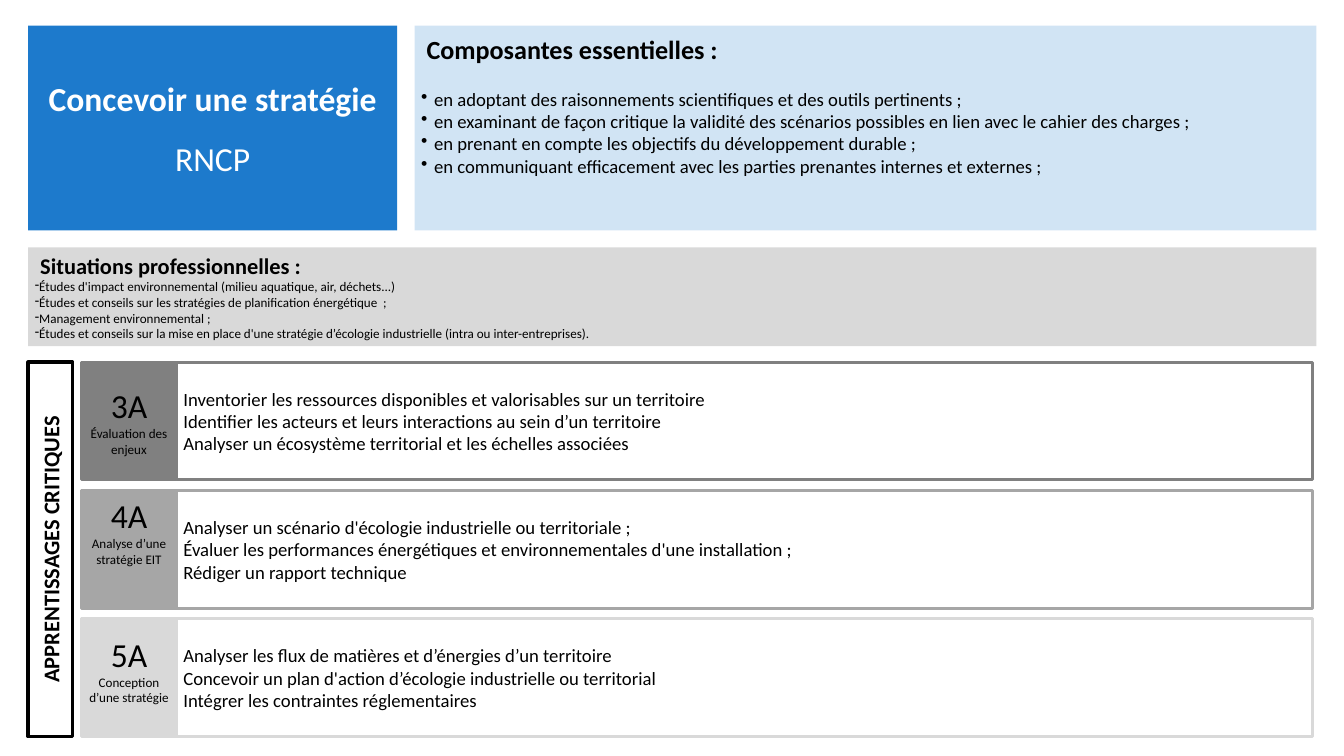
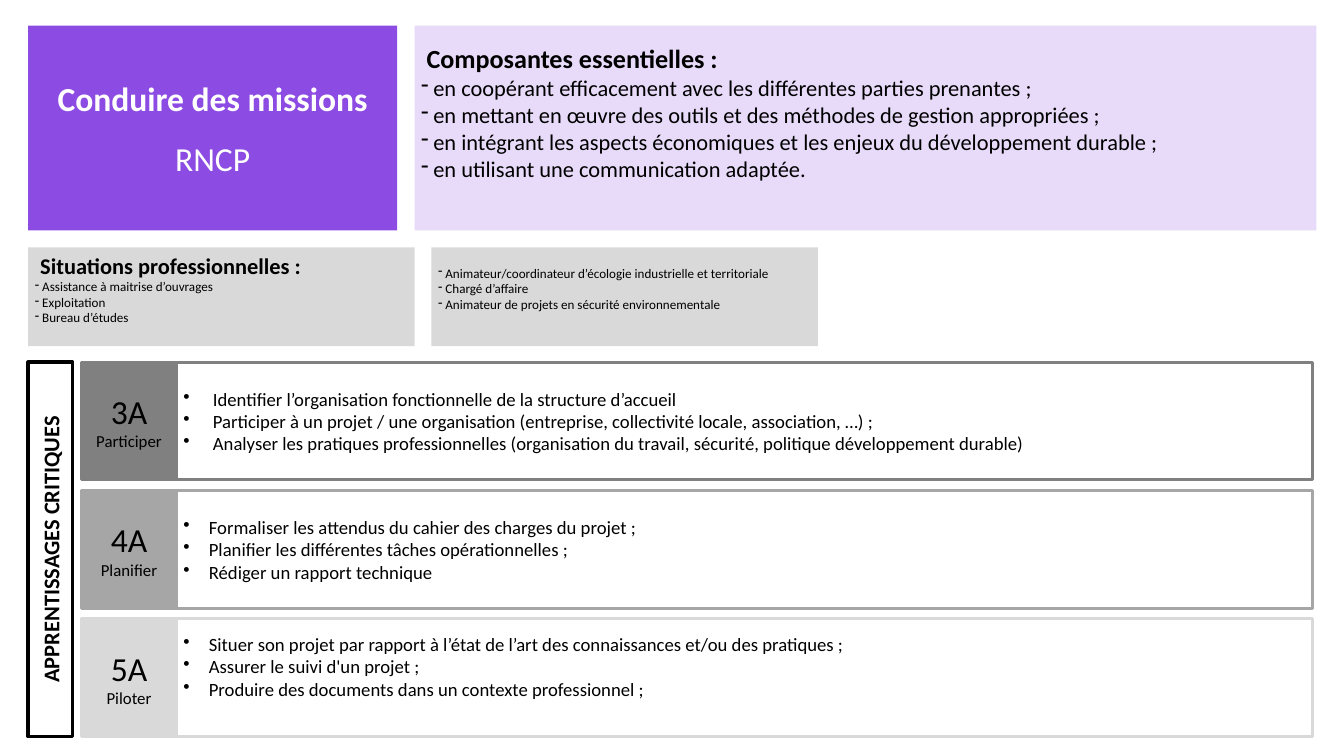
from lxml import etree
from pptx import Presentation
from pptx.dml.color import RGBColor
from pptx.enum.shapes import MSO_SHAPE
from pptx.enum.text import MSO_ANCHOR, PP_ALIGN
from pptx.oxml.ns import qn
from pptx.util import Inches, Pt

RECTANGLE = MSO_SHAPE.RECTANGLE
MIDDLE = MSO_ANCHOR.MIDDLE
LEFT, CENTER = PP_ALIGN.LEFT, PP_ALIGN.CENTER

FONT = "Calibri"
COLORS = {
    "black": "000000", "white": "FFFFFF", "blue": "1D7ACC", "violet": "8C4BE2",
    "panel": "D9D9D9", "3A": "808080", "4A": "A6A6A6", "5A": "D9D9D9",
}

# "lift" is extra room kept free below the text, which moves it up in its box.
SKILLS = [
    {
        "color": "blue",
        "title": "Concevoir une stratégie",
        "components": {
            "lift": 0.68,
            "style": {"size": 20, "bullet": "•", "indent": 0.19},
            "gap": 24.4,
            "lines": [
                "en adoptant des raisonnements scientifiques et des outils pertinents ;",
                "en examinant de façon critique la validité des scénarios possibles "
                "en lien avec le cahier des charges ;",
                "en prenant en compte les objectifs du développement durable ;",
                "en communiquant efficacement avec les parties prenantes internes et externes ;",
            ],
        },
        "situations": {
            "lift": 0,
            "style": {"size": 14, "bullet": "-", "indent": 0},
            "width": 19.17,
            "columns": [[
                "Études d'impact environnemental (milieu aquatique, air, déchets...)",
                "Études et conseils sur les stratégies de planification énergétique  ;",
                "Management environnemental ;",
                "Études et conseils sur la mise en place d'une stratégie d’écologie "
                "industrielle (intra ou inter-entreprises).",
            ]],
        },
        "level_size": 14,
        "learning_style": {"size": 20},
        "levels": [
            {"year": "3A", "name": "Évaluation des enjeux", "lines": [
                "Inventorier les ressources disponibles et valorisables sur un territoire",
                "Identifier les acteurs et leurs interactions au sein d’un territoire",
                "Analyser un écosystème territorial et les échelles associées",
            ]},
            {"year": "4A", "name": "Analyse d’une stratégie EIT", "name_lift": 0.55, "lines": [
                "Analyser un scénario d'écologie industrielle ou territoriale ;",
                "Évaluer les performances énergétiques et environnementales d'une installation ;",
                "Rédiger un rapport technique",
            ]},
            {"year": "5A", "name": "Conception d’une stratégie", "name_lift": 0.24, "lines": [
                "Analyser les flux de matières et d’énergies d’un territoire",
                "Concevoir un plan d'action d’écologie industrielle ou territorial",
                "Intégrer les contraintes réglementaires",
            ]},
        ],
    },
    {
        "color": "violet",
        "title": "Conduire des missions",
        "components": {
            "lift": 0.47,
            "style": {"size": 24, "bullet": "-", "indent": 0.18},
            "gap": 0,
            "lines": [
                "en coopérant efficacement avec les différentes parties prenantes ;",
                "en mettant en œuvre des outils et des méthodes de gestion appropriées ;",
                "en intégrant les aspects économiques et les enjeux du développement durable ;",
                "en utilisant une communication adaptée.",
            ],
        },
        "situations": {
            "lift": 0.24,
            "style": {"size": 14, "bullet": "-", "indent": 0.11},
            "width": 5.75,
            "columns": [
                ["Assistance à maitrise d’ouvrages", "Exploitation", "Bureau d’études"],
                [
                    "Animateur/coordinateur d’écologie industrielle et territoriale",
                    "Chargé d’affaire",
                    "Animateur de projets en sécurité environnementale",
                ],
            ],
        },
        "level_size": 18,
        "learning_style": {"size": 20, "bullet": "•", "indent": 0.38},
        "levels": [
            {"year": "3A", "name": "Participer", "indent": 0.44, "lines": [
                "Identifier l’organisation fonctionnelle de la structure d’accueil",
                "Participer à un projet / une organisation (entreprise, collectivité locale, "
                "association, …) ;",
                "Analyser les pratiques professionnelles (organisation du travail, sécurité, "
                "politique développement durable)",
            ]},
            {"year": "4A", "name": "Planifier", "lines": [
                "Formaliser les attendus du cahier des charges du projet ;",
                "Planifier les différentes tâches opérationnelles ;",
                "Rédiger un rapport technique",
            ]},
            {"year": "5A", "name": "Piloter", "lift": 0.34, "lines": [
                "Situer son projet par rapport à l’état de l’art des connaissances "
                "et/ou des pratiques ;",
                "Assurer le suivi d'un projet ;",
                "Produire des documents dans un contexte professionnel ;",
            ]},
        ],
    },
]

MARGIN, GAP = 0.42, 0.25
TOP, TOP_HEIGHT = 0.38, 3.05
TITLE_WIDTH = 5.49
COMPONENTS_LEFT, COMPONENTS_WIDTH = 6.17, 13.42
SITUATIONS_TOP, SITUATIONS_HEIGHT = 3.68, 1.47
LEVELS_TOP, LEVEL_HEIGHT, LEVEL_PITCH = 5.39, 1.75, 1.91
BANNER_WIDTH, BANNER_HEIGHT = 0.66, 5.57
YEAR_LEFT, YEAR_WIDTH = 1.21, 1.42
LEARNING_WIDTH = 16.9


def rgb(name):
    return RGBColor.from_string(COLORS[name])


def set_bullet(paragraph, bullet, indent):
    properties = paragraph._p.get_or_add_pPr()
    properties.set("marL", str(Inches(indent)))
    properties.set("indent", str(-Inches(indent)))
    etree.SubElement(properties, qn("a:buChar")).set("char", bullet)


def write(frame, lines, align):
    """Fill a text frame from (text, style) pairs."""
    for index, (text, style) in enumerate(lines):
        paragraph = frame.paragraphs[0] if index == 0 else frame.add_paragraph()
        formats = {"alignment": align, "line_spacing": style.get("spacing", 1.0),
                   "space_before": Pt(style.get("before", 0))}
        for name, value in formats.items():
            setattr(paragraph, name, value)
        if "bullet" in style:
            set_bullet(paragraph, style["bullet"], style["indent"])
        elif "indent" in style:
            paragraph._p.get_or_add_pPr().set("marL", str(Inches(style["indent"])))
        span = paragraph.add_run()
        span.text = text
        fonts = {"name": FONT, "size": Pt(style["size"]), "bold": style.get("bold", False)}
        for name, value in fonts.items():
            setattr(span.font, name, value)
        span.font.color.rgb = rgb(style.get("color", "black"))


def add_box(page, place, fill, lines, align=LEFT, line=None, weight=3, lift=0):
    box = page.shapes.add_shape(RECTANGLE, *(Inches(value) for value in place))
    box.shadow.inherit = False
    box.fill.solid()
    box.fill.fore_color.rgb = rgb(fill)
    if line:
        box.line.color.rgb = rgb(line)
        box.line.width = Pt(weight)
    else:
        box.line.fill.background()
    frame = box.text_frame
    settings = {"word_wrap": True, "vertical_anchor": MIDDLE,
                "margin_left": Inches(0.1), "margin_right": Inches(0.1),
                "margin_top": Inches(0.05), "margin_bottom": Inches(0.05 + lift)}
    for name, value in settings.items():
        setattr(frame, name, value)
    write(frame, lines, align)
    return box


def set_opacity(box, percent):
    color = box._element.spPr.find(qn("a:solidFill"))[0]
    etree.SubElement(color, qn("a:alpha")).set("val", str(percent * 1000))


def heading(text, size):
    return text, {"size": size, "bold": True, "indent": 0.08}


def add_title(page, skill):
    style = {"size": 36, "color": "white"}
    lines = [(skill["title"], {**style, "bold": True}), ("RNCP", {**style, "spacing": 1.5})]
    add_box(page, (MARGIN, TOP, TITLE_WIDTH, TOP_HEIGHT), skill["color"], lines, CENTER)


def add_components(page, skill):
    part = skill["components"]
    lines = [heading("Composantes essentielles :", 28)]
    for index, text in enumerate(part["lines"]):
        before = part["gap"] if index == 0 else 0
        lines.append((text, {**part["style"], "before": before}))
    place = (COMPONENTS_LEFT, TOP, COMPONENTS_WIDTH, TOP_HEIGHT)
    set_opacity(add_box(page, place, skill["color"], lines, lift=part["lift"]), 20)


def add_situations(page, part):
    for index, column in enumerate(part["columns"]):
        lines = [(text, part["style"]) for text in column]
        if index == 0:
            lines.insert(0, heading("Situations professionnelles :", 24))
        left = MARGIN + index * (part["width"] + GAP)
        place = (left, SITUATIONS_TOP, part["width"], SITUATIONS_HEIGHT)
        add_box(page, place, "panel", lines, lift=part["lift"])


def add_banner(page):
    """Place the upright label that runs beside the three levels."""
    left = MARGIN + (BANNER_WIDTH - BANNER_HEIGHT) / 2
    top = LEVELS_TOP + (BANNER_HEIGHT - BANNER_WIDTH) / 2
    lines = [("APPRENTISSAGES CRITIQUES", {"size": 24, "bold": True})]
    banner = add_box(page, (left, top, BANNER_HEIGHT, BANNER_WIDTH), "white", lines,
                     CENTER, "black", 3.75)
    banner.rotation = 270


def add_levels(page, skill):
    for index, level in enumerate(skill["levels"]):
        top = LEVELS_TOP + index * LEVEL_PITCH
        year = level["year"]
        style = dict(skill["learning_style"])
        if "indent" in level:
            style["indent"] = level["indent"]
        add_box(page, (YEAR_LEFT + YEAR_WIDTH, top, LEARNING_WIDTH, LEVEL_HEIGHT), "white",
                [(text, style) for text in level["lines"]], line=year,
                lift=level.get("lift", 0))
        name_lines = [(year, {"size": 36}), (level["name"], {"size": skill["level_size"]})]
        add_box(page, (YEAR_LEFT, top, YEAR_WIDTH, LEVEL_HEIGHT), year, name_lines,
                CENTER, year, lift=level.get("name_lift", 0))


def main():
    deck = Presentation()
    deck.slide_width, deck.slide_height = Inches(20), Inches(11.25)
    for skill in SKILLS:
        page = deck.slides.add_slide(deck.slide_layouts[6])
        add_title(page, skill)
        add_components(page, skill)
        add_situations(page, skill["situations"])
        add_banner(page)
        add_levels(page, skill)
    deck.save("out.pptx")


if __name__ == "__main__":
    main()
